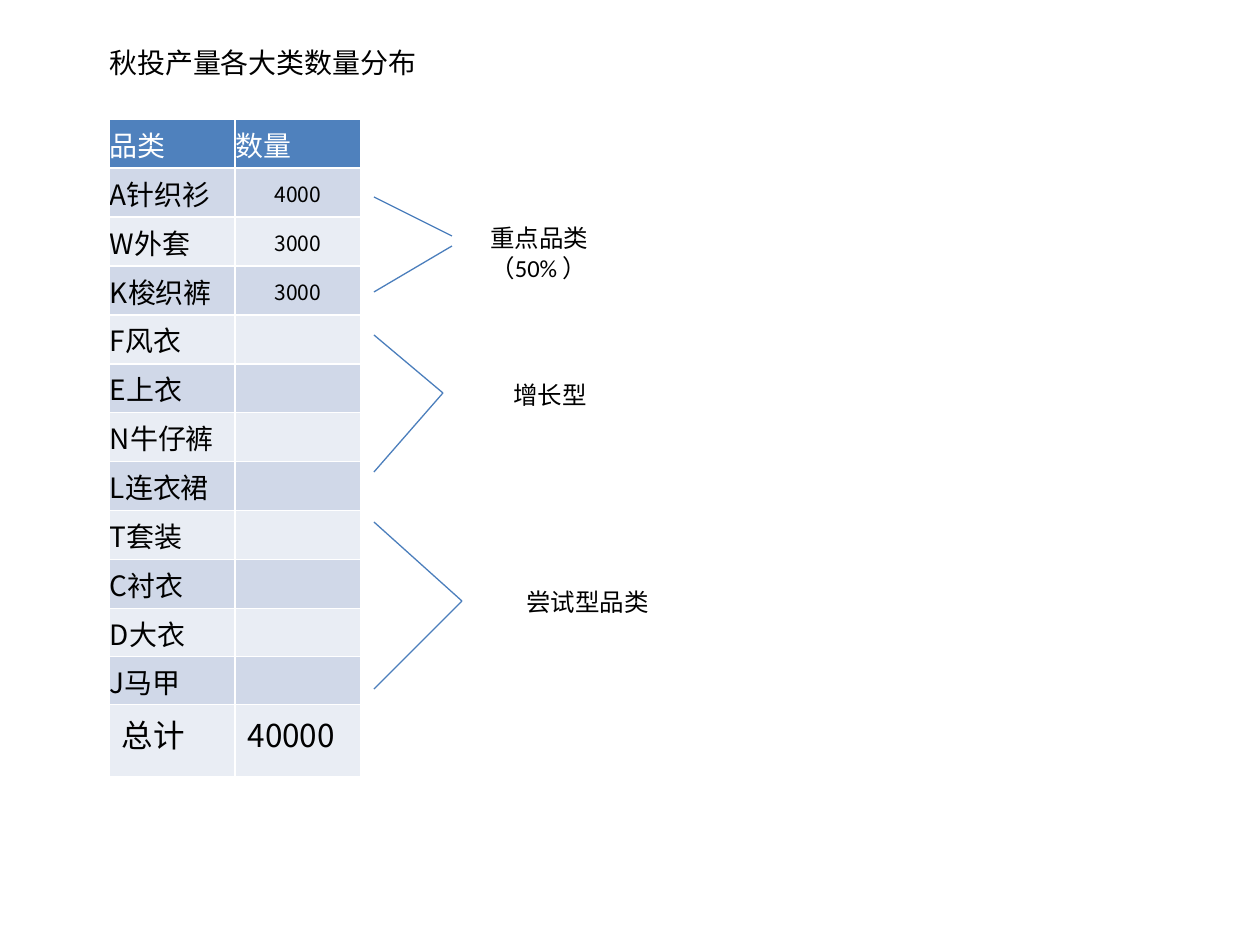
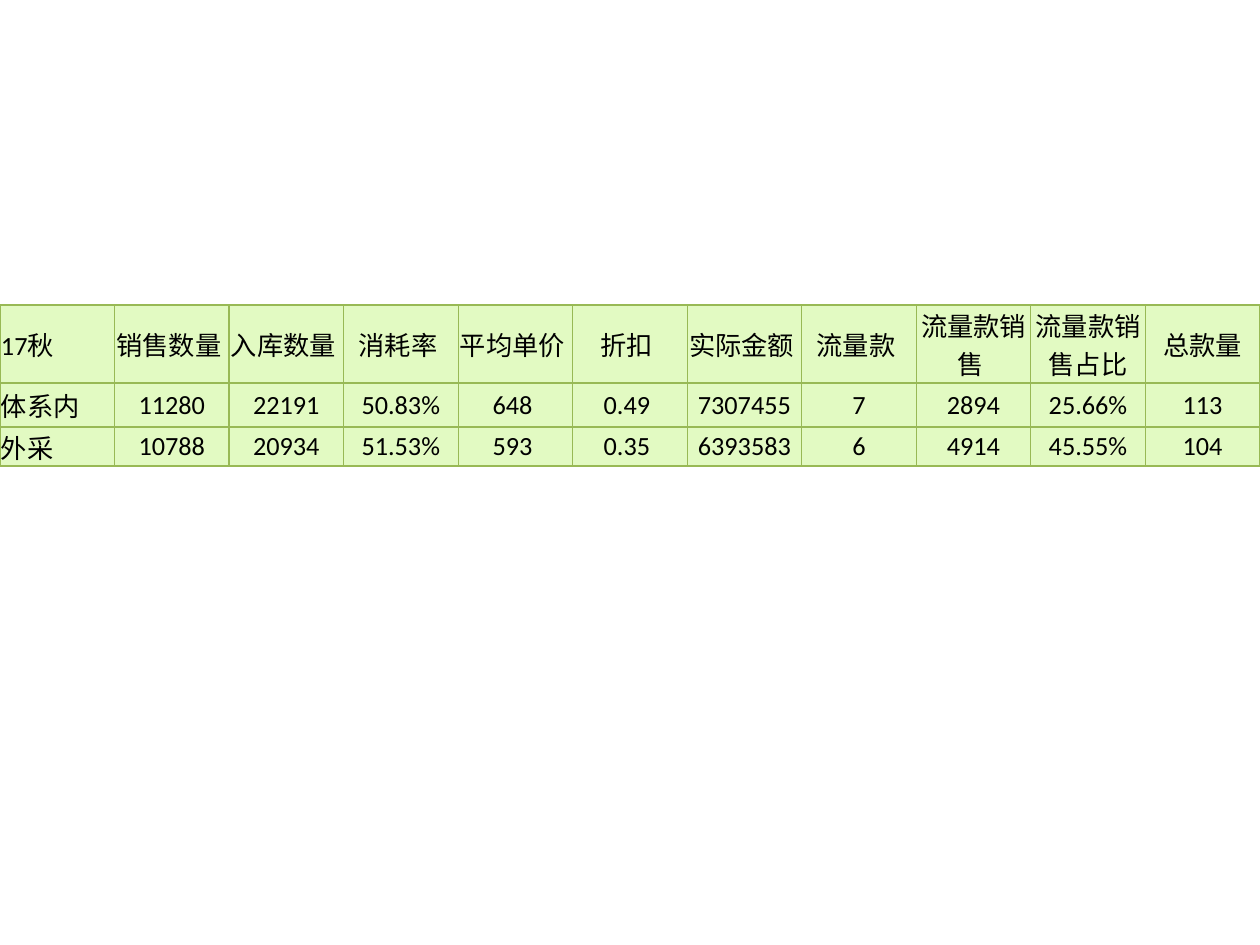
from dataclasses import dataclass

from lxml.etree import SubElement
from pptx import Presentation
from pptx.dml.color import RGBColor
from pptx.enum.shapes import MSO_CONNECTOR as Connector
from pptx.enum.text import MSO_ANCHOR as Anchor, PP_ALIGN as Align
from pptx.oxml.ns import qn
from pptx.util import Pt

EMU_PER_PX = 7257.6  # 126 px to the inch


def px(n):
    return round(n * EMU_PER_PX)


@dataclass(frozen=True)
class Theme:
    latin: str = "Calibri"
    cjk: str = "Noto Sans CJK SC"
    text: str = "000000"
    white: str = "FFFFFF"
    line: str = "4B7EBC"
    header: str = "4F81BD"
    bands: tuple = ("D0D8E8", "E9EDF4")
    green: str = "E2FAC2"
    green_border: str = "98B955"
    title_size: int = 16
    label_size: int = 14
    number_size: int = 12
    total_size: int = 18
    sales_size: int = 15


class Deck:
    def __init__(self, theme):
        self.theme = theme
        self.prs = Presentation()
        self.prs.slide_width, self.prs.slide_height = px(1260), px(945)
        self.slide = None

    def new_slide(self):
        self.slide = self.prs.slides.add_slide(self.prs.slide_layouts[6])

    def run(self, p, text, size, color=None, font=None):
        r = p.add_run()
        r.text = text
        r.font.size = Pt(size)
        r.font.name = font or self.theme.latin
        r.font.color.rgb = RGBColor.from_string(color or self.theme.text)
        SubElement(r.font._element, qn("a:ea"), typeface=self.theme.cjk)

    def text(self, x, y, w, h, lines, size):
        sp = self.slide.shapes.add_textbox(px(x), px(y), px(w), px(h))
        tf = sp.text_frame
        tf.word_wrap = len(lines) > 1
        p = tf.paragraphs[0]
        for i, line in enumerate(lines):
            if i:
                p.add_line_break()
            self.run(p, line, size)

    def line(self, start, end):
        s = self.slide.shapes.add_connector(
            Connector.STRAIGHT, *map(px, start), *map(px, end))
        s.line.color.rgb = RGBColor.from_string(self.theme.line)
        s.line.width = Pt(0.75)
        SubElement(s._element.spPr, qn("a:effectLst"))

    def bracket(self, x, top, bottom, tip_x, tip_top, tip_bottom):
        self.line((x, top), (tip_x, tip_top))
        self.line((x, bottom), (tip_x, tip_bottom))

    def table(self, x, y, w, row_heights, n_cols):
        """Add an unstyled table with equal columns."""
        frame = self.slide.shapes.add_table(
            len(row_heights), n_cols, px(x), px(y), px(w), px(sum(row_heights)))
        table = frame.table
        table.first_row = table.horz_banding = False
        for col in table.columns:
            col.width = px(w) // n_cols
        for row, height in zip(table.rows, row_heights):
            row.height = px(height)
        return table

    def cell(self, cell, text, size, fill, border, top=1, bottom=1,
             color=None, font=None, center=False, tight=True):
        """Fill one cell; top and bottom are rule widths in points."""
        tc_pr = cell._tc.get_or_add_tcPr()
        side = min(top, bottom)
        for tag, width in (("lnL", side), ("lnR", side), ("lnT", top), ("lnB", bottom)):
            ln = SubElement(tc_pr, qn(f"a:{tag}"), w=str(Pt(width)))
            solid = SubElement(ln, qn("a:solidFill"))
            SubElement(solid, qn("a:srgbClr"), val=border)
        cell.fill.solid()
        cell.fill.fore_color.rgb = RGBColor.from_string(fill)
        if tight:
            cell.vertical_anchor = Anchor.MIDDLE
            cell.margin_left = cell.margin_right = cell.margin_top = px(1)
            cell.margin_bottom = 0
        p = cell.text_frame.paragraphs[0]
        p.alignment = Align.CENTER if center else Align.LEFT
        if text:
            self.run(p, text, size, color, font)


CATEGORIES = [
    ("A针织衫", "4000"), ("W外套", "3000"), ("K梭织裤", "3000"), ("F风衣", ""),
    ("E上衣", ""), ("N牛仔裤", ""), ("L连衣裙", ""), ("T套装", ""),
    ("C衬衣", ""), ("D大衣", ""), ("J马甲", ""),
]

# bracket: x, top, bottom, tip x, tip of upper line, tip of lower line
GROUPS = [
    ((374, 197, 292, 452, 236, 246), (478, 217, 222, 43), ["重点品类", "（50% ）"]),
    ((374, 335, 472, 443, 393, 393), (501, 374, 100, 43), ["增长型"]),
    ((374, 522, 689, 462, 601, 601), (514, 581, 149, 43), ["尝试型品类"]),
]

SALES = [
    ["17秋", "销售数量 ", "入库数量 ", "消耗率 ", "平均单价 ", "折扣 ", "实际金额 ",
     "流量款 ", "流量款销售 ", "流量款销售占比", "总款量"],
    ["体系内", "11280", "22191", "50.83%", "648 ", "0.49 ", "7307455",
     "7", "2894", "25.66%", "113"],
    ["外采", "10788", "20934", "51.53%", "593 ", "0.35 ", "6393583",
     "6", "4914", "45.55%", "104"],
]


def category_slide(deck):
    t = deck.theme
    deck.new_slide()
    deck.text(97, 39, 336, 47, ["秋投产量各大类数量分布"], t.title_size)
    for bracket, box, lines in GROUPS:
        deck.bracket(*bracket)
        deck.text(*box, lines, t.label_size)

    table = deck.table(109, 119, 252, [49] * 10 + [48] * 2 + [72], 2)
    for c, name in enumerate(("品类", "数量")):
        deck.cell(table.cell(0, c), name, t.title_size, t.header, t.white, color=t.white)
    for i, (name, count) in enumerate(CATEGORIES):
        fill = t.bands[i % 2]
        deck.cell(table.cell(i + 1, 0), name, t.title_size, fill, t.white, font=t.cjk)
        deck.cell(table.cell(i + 1, 1), count, t.number_size, fill, t.white,
                  font=t.cjk, center=True)
    last = len(CATEGORIES) + 1
    for c, value in enumerate(("总计", "40000")):
        deck.cell(table.cell(last, c), value, t.total_size, t.bands[1], t.white,
                  font=t.cjk, tight=False)


def sales_slide(deck):
    t = deck.theme
    deck.new_slide()
    table = deck.table(0, 305, 1260, [78, 44, 39], len(SALES[0]))
    rules = [0.75, 1.5, 0.75, 0.75]
    for r, row in enumerate(SALES):
        for c, value in enumerate(row):
            deck.cell(table.cell(r, c), value, t.sales_size, t.green, t.green_border,
                      top=rules[r], bottom=rules[r + 1], center=c > 0)


def main():
    deck = Deck(Theme())
    category_slide(deck)
    sales_slide(deck)
    deck.prs.save("out.pptx")


if __name__ == "__main__":
    main()
